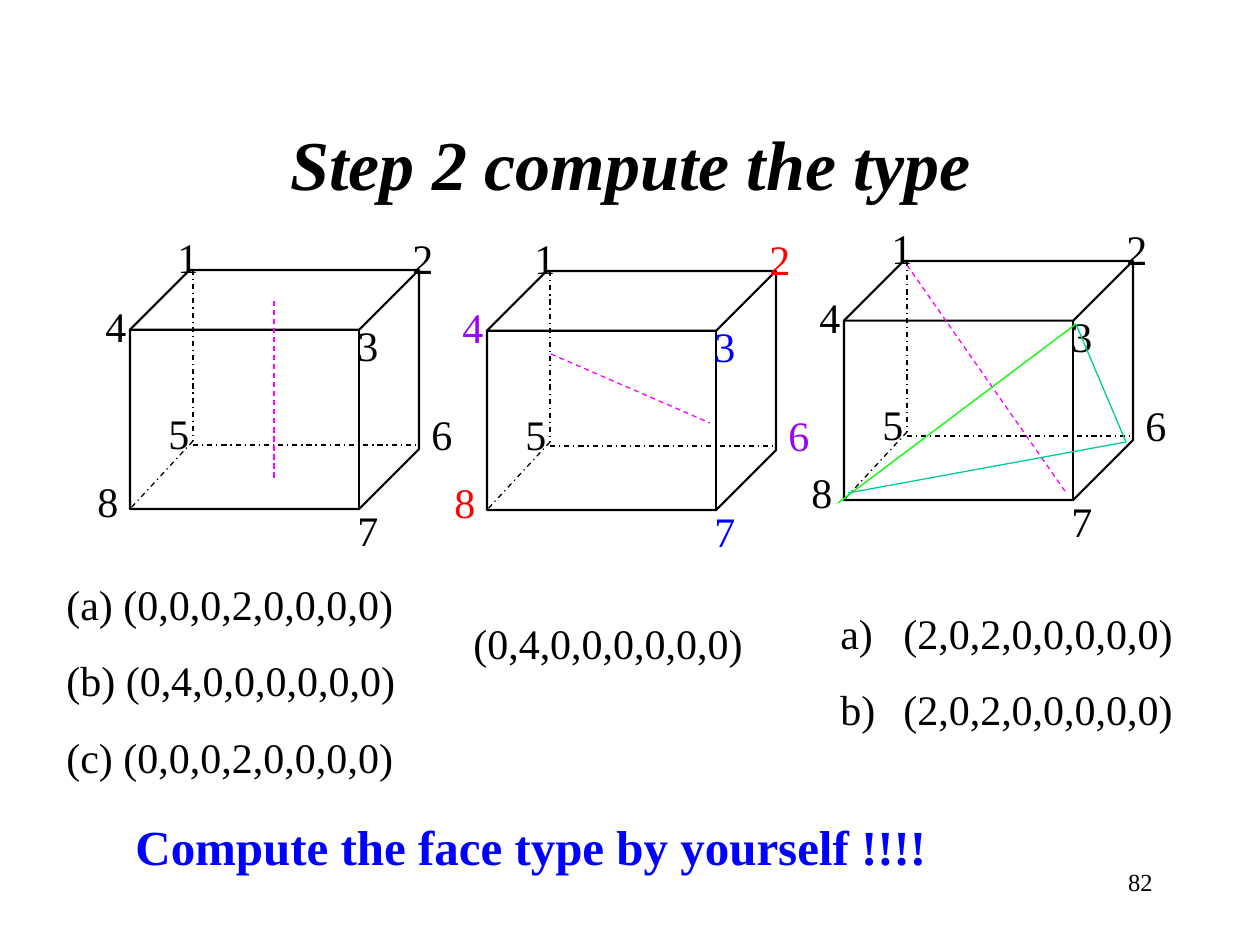
from lxml import etree
from pptx import Presentation
from pptx import util as u
from pptx.dml.color import RGBColor
from pptx.enum import dml, shapes, text
from pptx.oxml import ns

PX = u.Inches(1) / 126
FONT = "Times New Roman"
BLACK = RGBColor(0, 0, 0)
RED = RGBColor(0xFF, 0, 0)
BLUE = RGBColor(0, 0, 0xFF)
PURPLE = RGBColor(0x99, 0, 0xFF)
MAGENTA = RGBColor(0xFF, 0, 0xFF)
GREEN = RGBColor(0, 0xFF, 0)
TEAL = RGBColor(0, 0xCC, 0x99)
DASH = dml.MSO_LINE.DASH
DASH_DOT = dml.MSO_LINE.DASH_DOT

# Cube size, hidden edges and corner labels, relative to the cube's top left
CUBE_SIZE = (289, 239)
HIDDEN_EDGES = [(63, 0, 63, 171), (63, 175, 289, 175), (63, 171, 0, 239)]
CORNERS = [(35, -45), (270, -44), (215, 43), (-37, 24),
           (26, 131), (289, 132), (215, 228), (-45, 199)]


def px(*lengths):
    return [u.Emu(round(length * PX)) for length in lengths]


def add_text(parent, area, lines, size=24, color=BLACK, bold=False, italic=False,
             align=text.PP_ALIGN.LEFT, anchor=text.MSO_ANCHOR.TOP, numbered=False):
    box = parent.add_textbox(*px(*area))
    frame = box.text_frame
    frame.word_wrap = True
    frame.vertical_anchor = anchor
    frame.text = "\n".join(lines)
    for index, para in enumerate(frame.paragraphs):
        if numbered:
            add_number(para)
        if index:
            para.space_before = u.Pt(15)
        para.alignment = align
        for span in para.runs:
            span.font.name = FONT
            span.font.size = u.Pt(size)
            span.font.bold = bold
            span.font.italic = italic
            span.font.color.rgb = color


def add_number(para):
    """Number a paragraph a), b), ... with a half-inch hanging indent."""
    props = para._p.get_or_add_pPr()
    props.set("marL", str(u.Inches(0.5)))
    props.set("indent", str(-u.Inches(0.5)))
    number = etree.SubElement(props, ns.qn("a:buAutoNum"))
    number.set("type", "alphaLcParenR")


def add_line(parent, ends, color=BLACK, dash=None):
    line = parent.add_connector(shapes.MSO_CONNECTOR.STRAIGHT, *px(*ends))
    line.line.color.rgb = color
    line.line.width = u.Pt(0.75)
    if dash:
        line.line.dash_style = dash
    etree.SubElement(line._element.spPr, ns.qn("a:effectLst"))


def add_cube(page, left, top, label_colors, inner_lines):
    group = page.shapes.add_group_shape().shapes
    cube = group.add_shape(shapes.MSO_SHAPE.CUBE, *px(left, top, *CUBE_SIZE))
    cube.adjustments[0] = 0.25
    cube.shadow.inherit = False
    cube.fill.background()
    cube.line.color.rgb = BLACK
    cube.line.width = u.Pt(1.25)

    for x1, y1, x2, y2 in HIDDEN_EDGES:
        add_line(group, (left + x1, top + y1, left + x2, top + y2), dash=DASH_DOT)
    for number, (x, y) in enumerate(CORNERS, 1):
        add_text(group, (left + x, top + y, 63, 63), [str(number)],
                 color=label_colors.get(number, BLACK))
    for (x1, y1, x2, y2), color, dash in inner_lines:
        add_line(group, (left + x1, top + y1, left + x2, top + y2), color, dash)


def add_cubes(page):
    add_cube(page, 130, 270, {}, [((144, 31, 144, 211), MAGENTA, DASH)])
    add_cube(page, 487, 271,
             {2: RED, 8: RED, 3: BLUE, 7: BLUE, 4: PURPLE, 6: PURPLE},
             [((64, 83, 223, 152), MAGENTA, DASH)])
    add_cube(page, 844, 261, {}, [
        ((63, 4, 223, 233), MAGENTA, DASH),
        ((-6, 242, 232, 63), GREEN, None),
        ((232, 63, 282, 181), TEAL, None),
        ((4, 232, 282, 181), TEAL, None),
    ])


def add_answers(page):
    add_text(page.shapes, (54, 572, 377, 217),
             ["(a) (0,0,0,2,0,0,0,0)", "(b) (0,4,0,0,0,0,0,0)", "(c) (0,0,0,2,0,0,0,0)"])
    add_text(page.shapes, (461, 611, 318, 63), ["(0,4,0,0,0,0,0,0)"])
    add_text(page.shapes, (828, 601, 387, 140), ["(2,0,2,0,0,0,0,0)"] * 2, numbered=True)


def main():
    deck = Presentation()
    deck.slide_width, deck.slide_height = px(1260, 945)
    page = deck.slides.add_slide(deck.slide_layouts[6])

    # Page number and title
    add_text(page.shapes, (903, 861, 262, 63), ["82"], size=14,
             align=text.PP_ALIGN.RIGHT)
    add_text(page.shapes, (95, 84, 1071, 158), ["Step 2 compute the type"], size=40,
             bold=True, italic=True, align=text.PP_ALIGN.CENTER,
             anchor=text.MSO_ANCHOR.MIDDLE)

    # Cubes, their types and the closing task
    add_cubes(page)
    add_answers(page)
    add_text(page.shapes, (123, 810, 1012, 72),
             ["Compute the face type by yourself !!!!"], size=28, color=BLUE, bold=True)

    deck.save("out.pptx")


if __name__ == "__main__":
    main()
